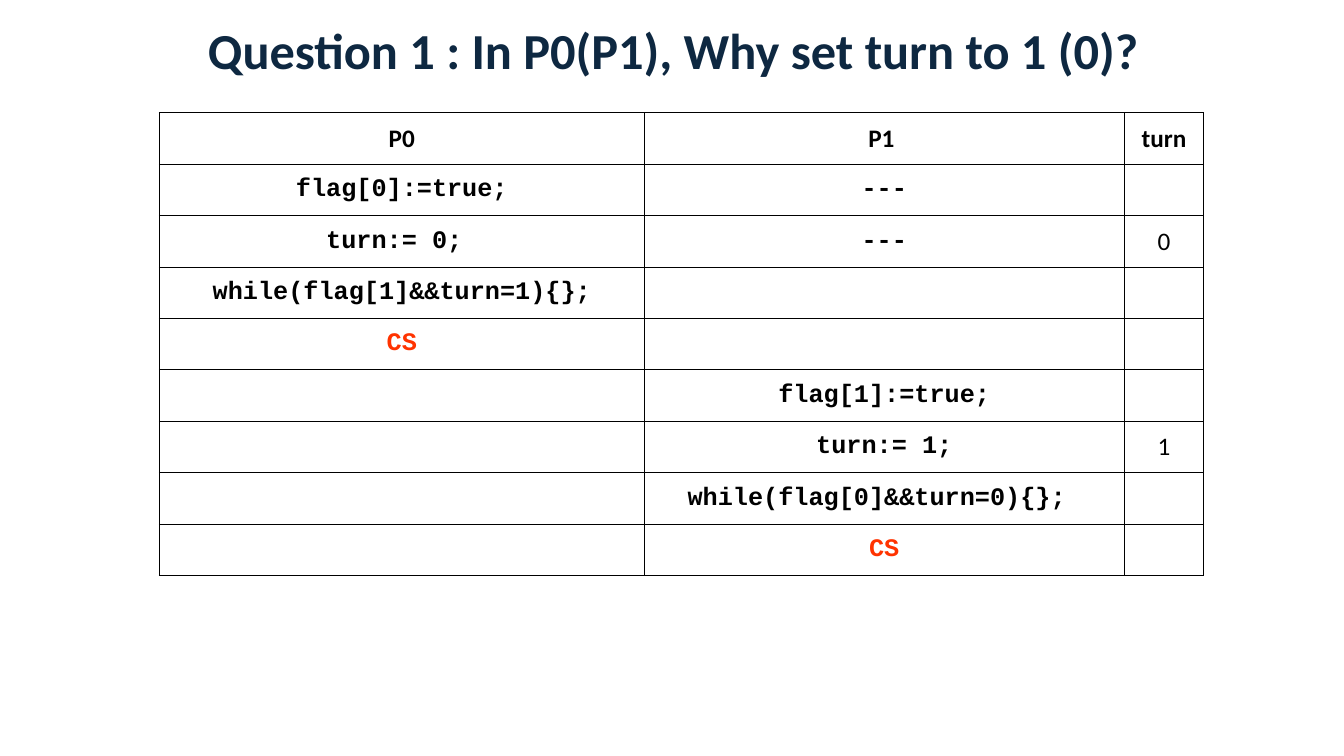
from lxml import etree
from pptx import Presentation
from pptx.dml.color import RGBColor
from pptx.enum.text import MSO_ANCHOR as ANCHOR, PP_ALIGN as ALIGN
from pptx.oxml.ns import qn
from pptx.util import Inches, Pt

COLORS = {"title": "0E2841", "text": "000000", "critical": "FF3300", "border": "000000"}

ROWS = [
    ("P0", "P1 ", "turn"),
    ("flag[0]:=true;", "---", ""),
    ("turn:= 0; ", "---", "0"),
    ("while(flag[1]&&turn=1){};", "", ""),
    ("CS", "", ""),
    ("", "flag[1]:=true;", ""),
    ("", "turn:= 1;", "1"),
    ("", "while(flag[0]&&turn=0){}; ", ""),
    ("", "CS", ""),
]
COLUMN_WIDTHS = [4.81, 4.76, 0.79]
ROW_HEIGHT = 0.51


def add_text(p, text, size, font, color, bold):
    p.alignment = ALIGN.CENTER
    r = p.add_run()
    r.text = text
    r.font.size = Pt(size)
    r.font.name = font
    r.font.bold = bold
    r.font.color.rgb = RGBColor.from_string(COLORS[color])


def add_borders(cell):
    tcPr = cell._tc.get_or_add_tcPr()
    for i, side in enumerate(("lnL", "lnR", "lnT", "lnB")):
        ln = etree.Element(qn(f"a:{side}"), w=str(Pt(0.75)))
        fill = etree.SubElement(ln, qn("a:solidFill"))
        etree.SubElement(fill, qn("a:srgbClr"), val=COLORS["border"])
        tcPr.insert(i, ln)


prs = Presentation()
prs.slide_width, prs.slide_height = Inches(13.33), Inches(7.5)
s = prs.slides.add_slide(prs.slide_layouts[5])

# Title
title = s.shapes.title
title.left, title.top = Inches(0.68), Inches(0.13)
title.width, title.height = Inches(12), Inches(1.25)
tf = title.text_frame
tf.word_wrap = True
tf.vertical_anchor = ANCHOR.TOP
tf.margin_top = 0
p = tf.paragraphs[0]
p.line_spacing = 1.1
add_text(p, "Question 1 : In P0(P1), Why set turn to 1 (0)?", 36, "Calibri", "title", True)

# Execution trace table
frame = s.shapes.add_table(len(ROWS), len(COLUMN_WIDTHS), Inches(1.58), Inches(1.12),
                           Inches(sum(COLUMN_WIDTHS)), Inches(ROW_HEIGHT * len(ROWS)))
table = frame.table
table.first_row = table.horz_banding = False
for column, width in zip(table.columns, COLUMN_WIDTHS):
    column.width = Inches(width)

for i, row in enumerate(ROWS):
    table.rows[i].height = Inches(ROW_HEIGHT)
    for j, text in enumerate(row):
        cell = table.cell(i, j)
        cell.vertical_anchor = ANCHOR.MIDDLE
        cell.fill.background()
        add_borders(cell)
        if text:
            is_header, is_turn = i == 0, j == 2
            font = "Calibri" if is_header or is_turn else "Courier New"
            color = "critical" if text == "CS" else "text"
            add_text(cell.text_frame.paragraphs[0], text, 18, font, color,
                     is_header or not is_turn)

prs.save("out.pptx")
